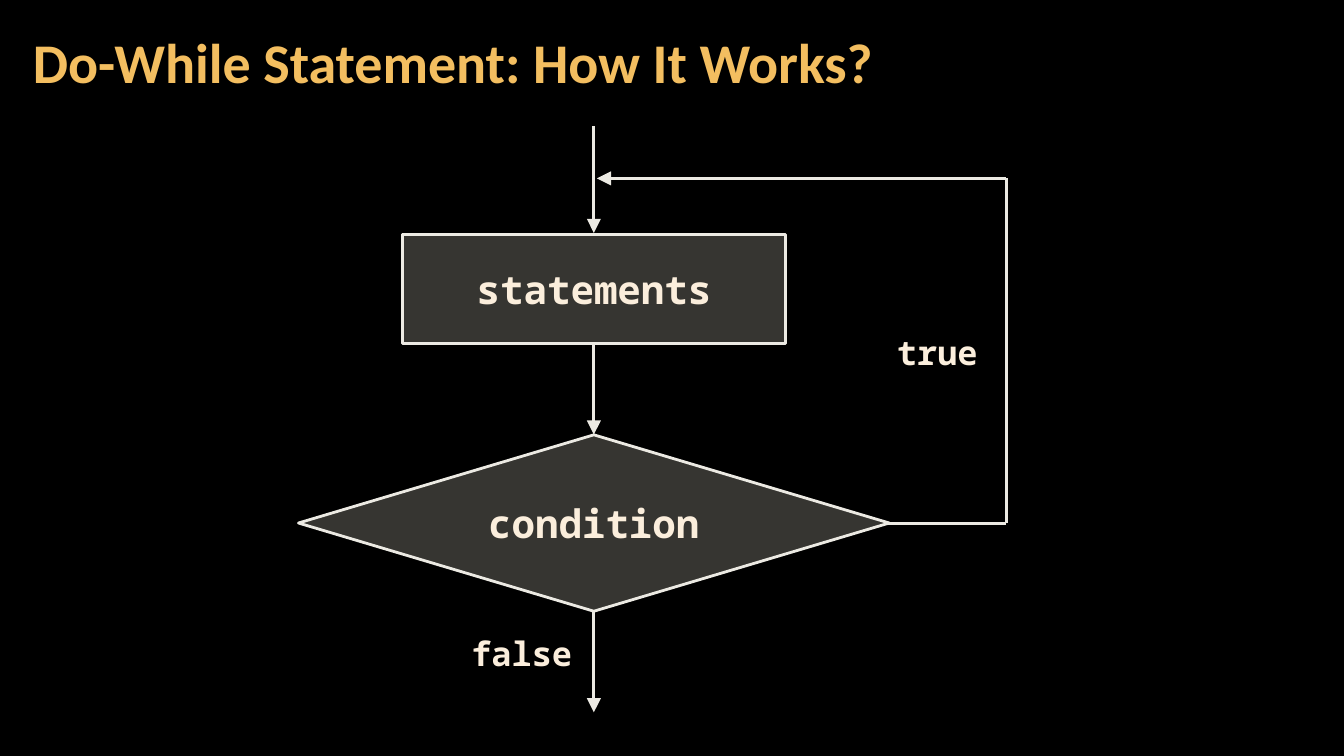
from dataclasses import dataclass

from lxml import etree
from pptx import Presentation
from pptx import util as u
from pptx.dml.color import RGBColor
from pptx.enum import shapes, text
from pptx.oxml.ns import qn

COLORS = {
    "background": "000000",
    "title": "F3BE60",
    "text": "FBEEDC",
    "line": "ECEAE3",
    "fill": "D9D5C7",
}
CODE_FONT = "Noto Sans Mono"
FILL_OPACITY = 25000
LINE_WIDTH = 2
FLOW_X = 424.2
LOOP_X = 718.8
LOOP_TOP = 127.4
LOOP_BOTTOM = 373.8


@dataclass
class Step:
    label: str
    kind: shapes.MSO_SHAPE
    left: float
    top: float
    width: float
    height: float


@dataclass
class Label:
    label: str
    left: float
    top: float
    width: float
    height: float


@dataclass
class Line:
    start: tuple[float, float]
    end: tuple[float, float]
    arrow: bool = True


STEPS = [
    Step("condition", shapes.MSO_SHAPE.FLOWCHART_DECISION, 213.2, 310.6, 422, 126),
    Step("statements", shapes.MSO_SHAPE.RECTANGLE, 287.6, 167.4, 273.5, 77.8),
]
LABELS = [
    Label("true", 631.4, 233.3, 76.3, 36),
    Label("false", 324, 448.6, 97.2, 36),
]
LINES = [
    Line((FLOW_X, 90), (FLOW_X, 166.4)),
    Line((FLOW_X, 245.5), (FLOW_X, 310.4)),
    Line((FLOW_X, 437), (FLOW_X, 508.8)),
    Line((634, LOOP_BOTTOM), (LOOP_X, LOOP_BOTTOM), arrow=False),
    Line((LOOP_X, LOOP_BOTTOM), (LOOP_X, LOOP_TOP), arrow=False),
    Line((LOOP_X, LOOP_TOP), (426.4, LOOP_TOP)),
]


def color(name: str) -> RGBColor:
    return RGBColor.from_string(COLORS[name])


def place(shape, left: float, top: float, width: float, height: float) -> None:
    shape.left, shape.top = u.Pt(left), u.Pt(top)
    shape.width, shape.height = u.Pt(width), u.Pt(height)


def write(frame, content: str, size: float, font: str, color_name: str, alignment) -> None:
    frame.text = content
    paragraph = frame.paragraphs[0]
    paragraph.alignment = alignment
    paragraph.font.name = font
    paragraph.font.size = u.Pt(size)
    paragraph.font.bold = True
    paragraph.font.color.rgb = color(color_name)


def format_line(line) -> None:
    line.color.rgb = color("line")
    line.width = u.Pt(LINE_WIDTH)


def add_title(slide, content: str) -> None:
    title = slide.shapes.title
    place(title, 15, 3, 754, 87)
    frame = title.text_frame
    write(frame, content, 40, "Calibri", "title", text.PP_ALIGN.LEFT)
    frame.paragraphs[0].line_spacing = 0.9
    frame.word_wrap = True
    frame.auto_size = text.MSO_AUTO_SIZE.NONE
    frame.vertical_anchor = text.MSO_ANCHOR.MIDDLE
    frame.margin_left = frame.margin_right = u.Pt(8.5)
    frame.margin_top = frame.margin_bottom = u.Pt(2.8)


def add_step(slide, step: Step) -> None:
    shape = slide.shapes.add_shape(step.kind, 0, 0, 0, 0)
    place(shape, step.left, step.top, step.width, step.height)
    shape.shadow.inherit = False
    shape.fill.solid()
    shape.fill.fore_color.rgb = color("fill")
    fill_color = shape.fill._xPr.find(f"{qn('a:solidFill')}/{qn('a:srgbClr')}")
    etree.SubElement(fill_color, qn("a:alpha"), val=str(FILL_OPACITY))
    format_line(shape.line)
    write(shape.text_frame, step.label, 28, CODE_FONT, "text", text.PP_ALIGN.CENTER)
    shape.text_frame.vertical_anchor = text.MSO_ANCHOR.MIDDLE


def add_label(slide, label: Label) -> None:
    box = slide.shapes.add_textbox(0, 0, 0, 0)
    place(box, label.left, label.top, label.width, label.height)
    write(box.text_frame, label.label, 24, CODE_FONT, "text", text.PP_ALIGN.CENTER)
    box.text_frame.word_wrap = True
    box.text_frame.auto_size = text.MSO_AUTO_SIZE.SHAPE_TO_FIT_TEXT


def add_line(slide, line: Line) -> None:
    ends = [u.Pt(value) for value in (*line.start, *line.end)]
    connector = slide.shapes.add_connector(shapes.MSO_CONNECTOR.STRAIGHT, *ends)
    format_line(connector.line)
    properties = connector._element.spPr
    if line.arrow:
        outline = properties.find(qn("a:ln"))
        etree.SubElement(outline, qn("a:tailEnd"), type="triangle", w="lg", len="lg")
    etree.SubElement(properties, qn("a:effectLst"))


def main() -> None:
    presentation = Presentation()
    presentation.slide_width = u.Pt(960)
    presentation.slide_height = u.Pt(540)
    slide = presentation.slides.add_slide(presentation.slide_layouts.get_by_name("Title Only"))
    slide.background.fill.solid()
    slide.background.fill.fore_color.rgb = color("background")

    add_title(slide, "Do-While Statement: How It Works?")
    for step in STEPS:
        add_step(slide, step)
    for label in LABELS:
        add_label(slide, label)
    for line in LINES:
        add_line(slide, line)
    presentation.save("out.pptx")


if __name__ == "__main__":
    main()
